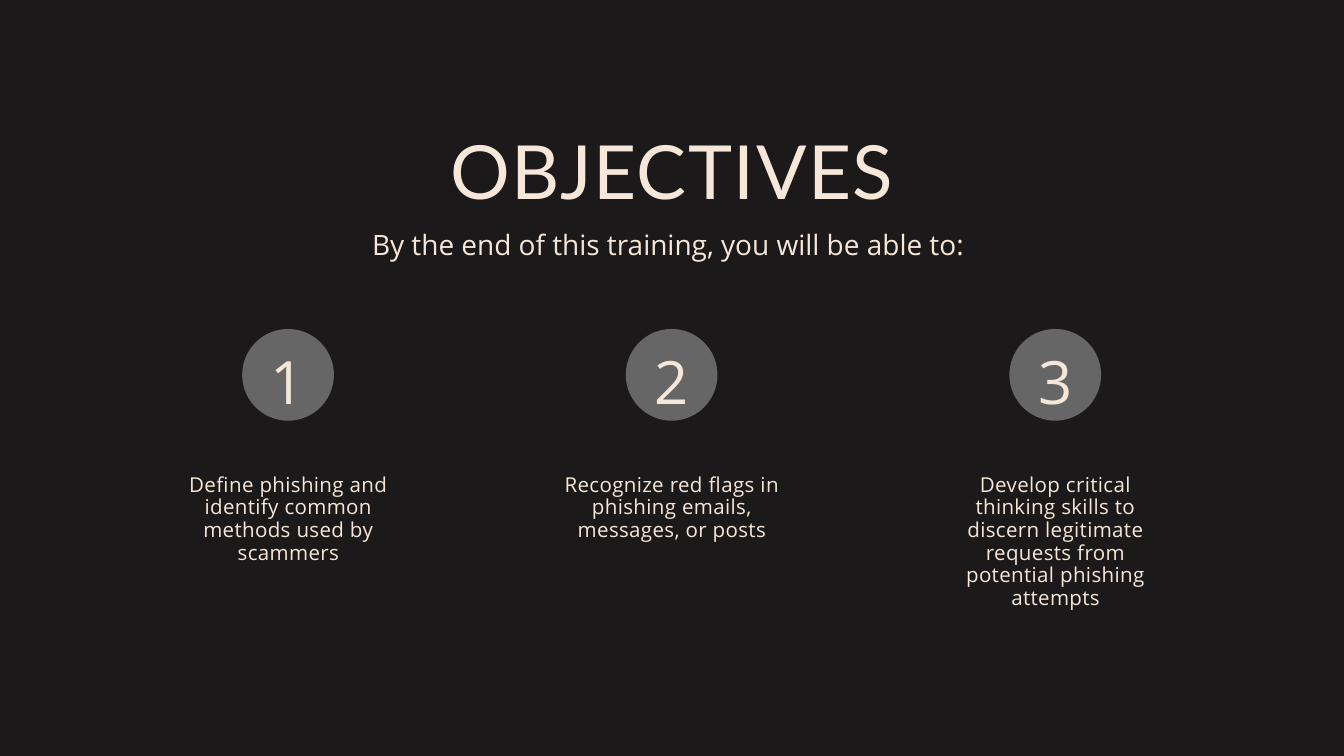
from pptx import Presentation
from pptx.dml.color import RGBColor
from pptx.enum.shapes import MSO_SHAPE
from pptx.enum.text import MSO_AUTO_SIZE, PP_ALIGN
from pptx.oxml.ns import qn
from pptx.util import Pt

PX = 9525  # EMU per px, 96 px to the inch
OVAL = MSO_SHAPE.OVAL
CENTER = PP_ALIGN.CENTER
GROW = MSO_AUTO_SIZE.SHAPE_TO_FIT_TEXT

BACKGROUND = RGBColor(0x1C, 0x19, 0x1A)
CREAM = RGBColor(0xF6, 0xE7, 0xD8)
GREY = RGBColor(0x66, 0x66, 0x66)
HEADING_FONT = "Lato"
BODY_FONT = "Open Sans"

# Wording and number of lines it fills
OBJECTIVES = [
    ("Define phishing and identify common methods used by scammers", 4),
    ("Recognize red flags in phishing emails, messages, or posts", 3),
    ("Develop critical thinking skills to discern legitimate requests "
     "from potential phishing attempts", 6),
]


def px(*lengths):
    return [length * PX for length in lengths]


def add_text(shapes, box, text, size, leading, font=BODY_FONT, tracking=0):
    """Centred text; size, leading and tracking are in points."""
    frame = shapes.add_textbox(*px(*box)).text_frame
    frame.margin_left = frame.margin_top = 0
    frame.margin_right = frame.margin_bottom = 0
    frame.word_wrap = True
    frame.auto_size = GROW
    paragraph = frame.paragraphs[0]
    paragraph.text = text
    paragraph.alignment = CENTER
    paragraph.line_spacing = Pt(leading)
    paragraph.font.name = font
    paragraph.font.size = Pt(size)
    paragraph.font.color.rgb = CREAM
    if tracking:
        defaults = paragraph._p.pPr.find(qn("a:defRPr"))
        defaults.set("spc", str(round(tracking * 100)))


def add_header(slide, left, top, width):
    add_text(slide.shapes, (left, top, width, 130), "OBJECTIVES",
             80, 96, HEADING_FONT, 1.6)
    add_text(slide.shapes, (left + 60, top + 139, width - 120, 54),
             "By the end of this training, you will be able to: ", 30, 42)


def add_objective(slide, left, top, width, number, text, lines):
    # Numbered badge
    diameter = 131
    badge_left = left + (width - diameter) // 2
    badge = slide.shapes.add_group_shape().shapes
    circle = badge.add_shape(OVAL, *px(badge_left, top, diameter, diameter))
    circle.shadow.inherit = False
    circle.fill.solid()
    circle.fill.fore_color.rgb = GREY
    circle.line.fill.background()
    add_text(badge, (badge_left, top - 9, diameter, 126), str(number),
             64, 100.5, tracking=3.2)

    # Description
    add_text(slide.shapes, (left, top + 207, width, lines * 32), text,
             22, 24.2, tracking=0.4)


def main():
    presentation = Presentation()
    presentation.slide_width, presentation.slide_height = px(1920, 1080)
    slide = presentation.slides.add_slide(presentation.slide_layouts[6])
    slide.background.fill.solid()
    slide.background.fill.fore_color.rgb = BACKGROUND

    add_header(slide, 390, 178, 1140)

    # Three equal columns
    first_left, pitch, width = 255, 548, 314
    for index, (text, lines) in enumerate(OBJECTIVES):
        add_objective(slide, first_left + index * pitch, 470, width,
                      index + 1, text, lines)

    presentation.save("out.pptx")


if __name__ == "__main__":
    main()
